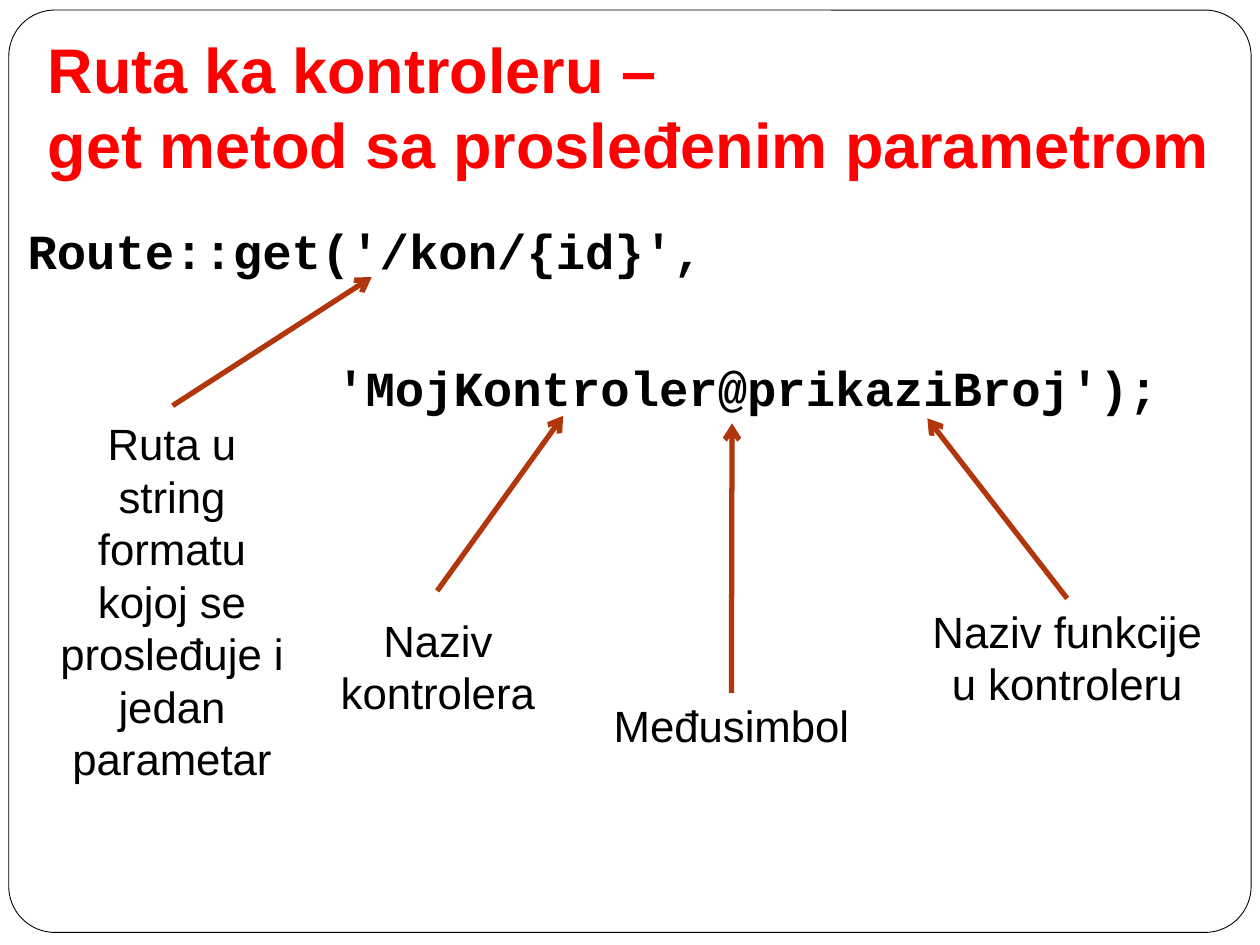
import pptx
import pptx.dml.color
import pptx.enum.shapes
import pptx.enum.text
import pptx.oxml.ns
import pptx.util
from lxml import etree
from pptx.util import Inches

COLORS = {"paper": "FFFFFF", "ink": "000000", "title": "FF0000", "arrow": "B1360B"}

# Label text, box (left, top, width, height), arrow start, arrow tip, joined to label
CALLOUTS = [
    ("Ruta u string formatu kojoj se prosleđuje i jedan parametar",
     (0.38, 3.26, 1.97, 3.05), (1.37, 3.22), (2.95, 2.2), False),
    ("Naziv kontrolera",
     (2.49, 4.82, 1.97, 0.94), (3.47, 4.69), (4.47, 3.3), False),
    ("Naziv funkcije u kontroleru",
     (7.17, 4.75, 2.6, 0.94), (8.46, 4.75), (7.36, 3.32), True),
    ("Međusimbol",
     (4.72, 5.5, 2.17, 0.52), (5.8, 5.5), (5.81, 3.36), True),
]


def color(name):
    return pptx.dml.color.RGBColor.from_string(COLORS[name])


def add_frame(page):
    frame = page.shapes.add_shape(
        pptx.enum.shapes.MSO_SHAPE.ROUNDED_RECTANGLE,
        Inches(0.07), Inches(0.08), Inches(9.86), Inches(7.32))
    frame.adjustments[0] = 0.05
    frame.shadow.inherit = False
    frame.fill.solid()
    frame.fill.fore_color.rgb = color("paper")
    frame.line.color.rgb = color("ink")
    frame.line.width = pptx.util.Pt(0.5)


def add_text(page, text, place, size, font="Arial", ink="ink", bold=False, align="LEFT"):
    box = page.shapes.add_textbox(*map(Inches, place))
    box.text_frame.word_wrap = True
    box.text_frame.text = text
    for para in box.text_frame.paragraphs:
        para.alignment = getattr(pptx.enum.text.PP_ALIGN, align)
        for span in para.runs:
            span.font.name = font
            span.font.size = pptx.util.Pt(size)
            span.font.bold = bold
            span.font.color.rgb = color(ink)
    return box


def add_title(page):
    box = add_text(page, "Ruta ka kontroleru –\vget metod sa prosleđenim parametrom",
                   (0.28, 0.52, 9.53, 1.02), 36, ink="title", bold=True)
    box.text_frame.vertical_anchor = pptx.enum.text.MSO_ANCHOR.BOTTOM
    box.text_frame.margin_bottom = Inches(0.1)


def add_code(page):
    box = add_text(page, "Route::get('/kon/{id}',\n'MojKontroler@prikaziBroj');",
                   (0.12, 1.7, 9.69, 5.67), 28, font="Courier New", bold=True)
    route, action = box.text_frame.paragraphs
    route.space_before = pptx.util.Pt(5.8)
    action.space_before = pptx.util.Pt(45)
    # Indent the second argument
    action._p.get_or_add_pPr().set("marL", str(Inches(2.45)))


def add_arrow(page, start, tip):
    arrow = page.shapes.add_connector(
        pptx.enum.shapes.MSO_CONNECTOR.STRAIGHT, *map(Inches, start + tip))
    arrow.line.color.rgb = color("arrow")
    arrow.line.width = pptx.util.Pt(3)
    qn = pptx.oxml.ns.qn
    etree.SubElement(arrow.line._get_or_add_ln(), qn("a:tailEnd"), type="arrow")
    etree.SubElement(arrow._element.spPr, qn("a:effectLst"))
    return arrow


def add_callout(page, text, place, start, tip, joined):
    label = add_text(page, text, place, 25, align="CENTER")
    arrow = add_arrow(page, start, tip)
    if joined:
        arrow.begin_connect(label, 0)


def main():
    deck = pptx.Presentation()
    deck.slide_width, deck.slide_height = Inches(10), Inches(7.5)
    page = deck.slides.add_slide(deck.slide_layouts[6])

    # Frame, heading and code
    add_frame(page)
    add_title(page)
    add_code(page)

    # Explanations pointing at the code
    for callout in CALLOUTS:
        add_callout(page, *callout)

    deck.save("out.pptx")


if __name__ == "__main__":
    main()
